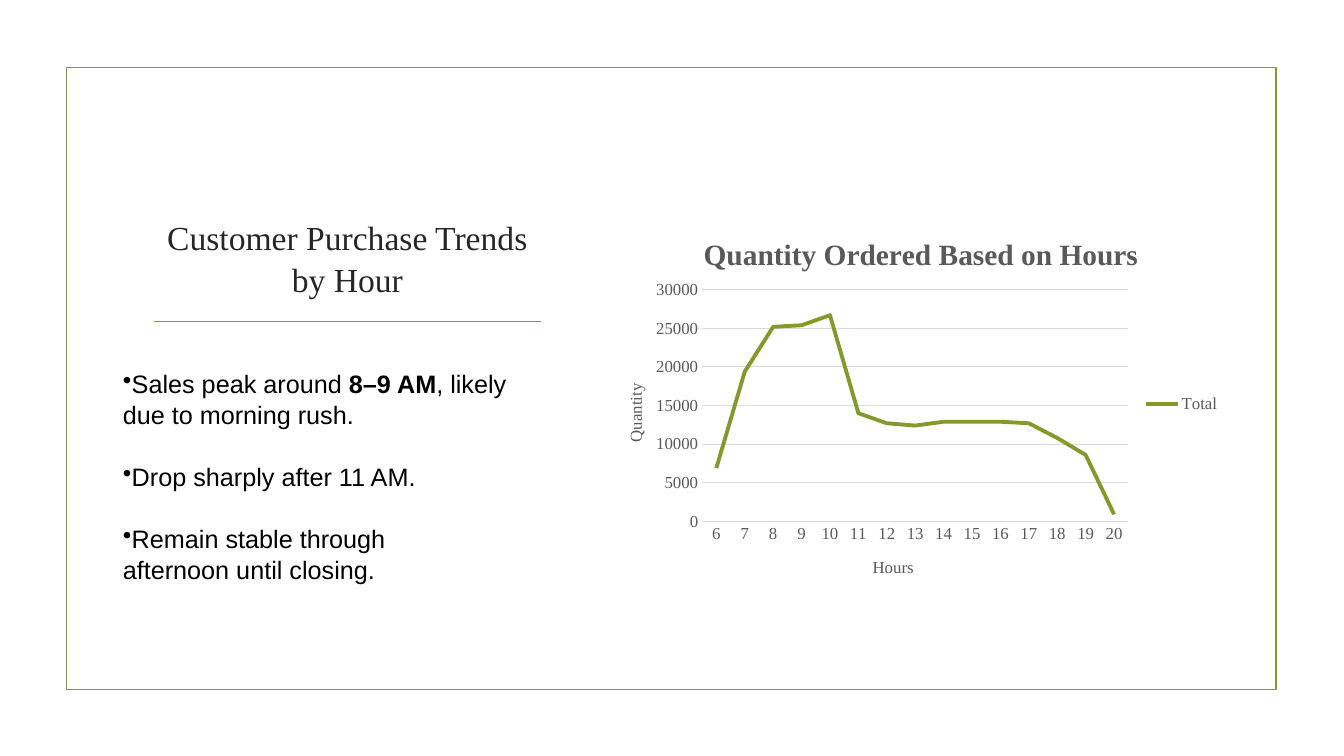
"""Build the slide on customer purchase trends by hour."""
from dataclasses import dataclass

from lxml import etree
from pptx import Presentation
from pptx.chart.data import CategoryChartData
from pptx.dml.color import RGBColor
from pptx.enum.chart import XL_CHART_TYPE, XL_LEGEND_POSITION, XL_TICK_MARK
from pptx.enum.shapes import MSO_CONNECTOR, MSO_SHAPE
from pptx.enum.text import MSO_ANCHOR, PP_ALIGN
from pptx.oxml.ns import qn
from pptx.util import Inches, Pt

LINE_CHART = XL_CHART_TYPE.LINE
LEGEND_RIGHT = XL_LEGEND_POSITION.RIGHT
NO_TICK = XL_TICK_MARK.NONE
STRAIGHT = MSO_CONNECTOR.STRAIGHT
RECTANGLE = MSO_SHAPE.RECTANGLE
MIDDLE, BOTTOM = MSO_ANCHOR.MIDDLE, MSO_ANCHOR.BOTTOM
CENTER = PP_ALIGN.CENTER

HEADLINE = "Customer Purchase Trends by Hour"
FINDINGS = [
    [("Sales peak around ", False), ("8–9 AM", True), (", likely due to morning rush.", False)],
    [("Drop sharply after 11 AM.", False)],
    [("Remain stable through\vafternoon until closing.", False)],
]
CHART_HEADING = "Quantity Ordered Based on Hours"
HOURS_LABEL, QUANTITY_LABEL, SERIES_LABEL = "Hours", "Quantity", "Total"
QUANTITY_BY_HOUR = {
    6: 6900, 7: 19400, 8: 25200, 9: 25400, 10: 26700,
    11: 14000, 12: 12700, 13: 12400, 14: 12900, 15: 12900,
    16: 12900, 17: 12700, 18: 10800, 19: 8600, 20: 900,
}


@dataclass(frozen=True)
class Theme:
    """Colours, fonts and type sizes."""
    accent: RGBColor = RGBColor.from_string("83992A")
    headline: RGBColor = RGBColor.from_string("262626")
    body: RGBColor = RGBColor.from_string("000000")
    chart_text: RGBColor = RGBColor.from_string("595959")
    grid: RGBColor = RGBColor.from_string("D9D9D9")
    serif: str = "Times New Roman"
    sans: str = "Arial"
    headline_size: int = 24
    body_size: int = 18
    chart_heading_size: int = 21
    label_size: int = 12
    leading: float = 1.04


THEME = Theme()


def style_font(font, name, size, color, bold=None):
    """Set face, size, colour and weight."""
    font.name, font.size, font.bold = name, Pt(size), bold
    font.color.rgb = color


def style_line(line, color, width):
    """Set the colour and width of a line."""
    line.color.rgb = color
    line.width = Pt(width)


def place(part, left, top, width, height):
    """Move and size a placeholder in inches."""
    part.left, part.top, part.width, part.height = map(Inches, (left, top, width, height))


def set_layout(element, index, target=None, **fractions):
    """Give a chart part a manual position as fractions of the chart."""
    layout = element.find(qn("c:layout"))
    if layout is None:
        layout = etree.Element(qn("c:layout"))
        element.insert(index, layout)
    manual = etree.SubElement(layout, qn("c:manualLayout"))
    settings = {"layoutTarget": target} if target else {}
    settings |= {"xMode": "edge", "yMode": "edge"} | fractions
    for tag, value in settings.items():
        etree.SubElement(manual, qn(f"c:{tag}")).set("val", str(value))


def add_label(title, text, size, x, y, bold=False):
    """Write a chart or axis title and position it."""
    title.text_frame.text = text
    style_font(title.text_frame.paragraphs[0].font, THEME.serif, size, THEME.chart_text, bold)
    set_layout(title.element, 1, x=x, y=y)


def add_frame(slide):
    """Draw the border and the rule under the headline."""
    border = slide.shapes.add_shape(RECTANGLE, *map(Inches, (0.66, 0.67, 12, 6.17)))
    border.shadow.inherit = False
    border.fill.background()
    style_line(border.line, THEME.accent, 1.25)
    rule = slide.shapes.add_connector(STRAIGHT, *map(Inches, (1.53, 3.19, 5.37, 3.19)))
    style_line(rule.line, THEME.accent, 1.25)
    etree.SubElement(rule.element.spPr, qn("a:effectLst"))


def add_headline(slide):
    """Fill the title placeholder."""
    headline = slide.shapes.title
    place(headline, 1.41, 1.52, 4.07, 1.5)
    frame = headline.text_frame
    frame.text = HEADLINE
    frame.word_wrap = True
    frame.vertical_anchor = BOTTOM
    paragraph = frame.paragraphs[0]
    paragraph.alignment = CENTER
    paragraph.line_spacing = THEME.leading
    style_font(paragraph.font, THEME.serif, THEME.headline_size, THEME.headline)


def add_findings(slide):
    """Write the bulleted findings."""
    box = slide.shapes.add_textbox(*map(Inches, (1.12, 3.61, 4.36, 2.22)))
    frame = box.text_frame
    frame.word_wrap = True
    frame.vertical_anchor = MIDDLE
    for index, finding in enumerate(FINDINGS):
        paragraph = frame.add_paragraph() if index else frame.paragraphs[0]
        properties = paragraph._p.get_or_add_pPr()
        etree.SubElement(properties, qn("a:buChar")).set("char", "•")
        paragraph.line_spacing = THEME.leading
        paragraph.space_before = Pt(21.6 if index else 0)
        style_font(paragraph.font, THEME.sans, THEME.body_size, THEME.body)
        for position, (text, bold) in enumerate(finding):
            for part, words in enumerate(text.split("\v")):
                if part:
                    paragraph.add_line_break()
                run = paragraph.add_run()
                run.text = words
                style_font(run.font, THEME.sans, THEME.body_size, THEME.body, bold)


def add_quantity_chart(slide):
    """Plot quantity ordered against hour."""
    data = CategoryChartData()
    data.categories = [str(hour) for hour in QUANTITY_BY_HOUR]
    data.add_series(SERIES_LABEL, QUANTITY_BY_HOUR.values())
    bounds = map(Inches, (5.92, 2.09, 6.29, 3.83))
    chart = slide.shapes.add_chart(LINE_CHART, *bounds, data).chart
    style_font(chart.font, THEME.serif, THEME.label_size, THEME.chart_text)
    chart.has_title = True
    add_label(chart.chart_title, CHART_HEADING, THEME.chart_heading_size, 0.16, 0.05, True)
    chart.has_legend = True
    chart.legend.position = LEGEND_RIGHT
    chart.legend.include_in_layout = False

    hours, quantity = chart.category_axis, chart.value_axis
    for axis in (hours, quantity):
        axis.major_tick_mark = axis.minor_tick_mark = NO_TICK
    add_label(hours.axis_title, HOURS_LABEL, THEME.label_size, 0.43, 0.89)
    add_label(quantity.axis_title, QUANTITY_LABEL, THEME.label_size, 0.04, 0.44)
    style_line(hours.format.line, THEME.grid, 1)
    quantity.format.line.fill.background()
    quantity.minimum_scale, quantity.maximum_scale, quantity.major_unit = 0, 30000, 5000
    style_line(quantity.major_gridlines.format.line, THEME.grid, 0.75)

    plot = chart.plots[0]
    plot.vary_by_categories = False
    total = plot.series[0]
    total.smooth = False
    style_line(total.format.line, THEME.accent, 2.75)
    plot_area = chart.element.find(f".//{qn('c:plotArea')}")
    set_layout(plot_area, 0, "inner", x=0.166, y=0.205, w=0.672, h=0.6)


def main():
    """Assemble and save the slide."""
    presentation = Presentation()
    presentation.slide_width, presentation.slide_height = Inches(13.33), Inches(7.5)
    slide = presentation.slides.add_slide(presentation.slide_layouts[5])
    add_frame(slide)
    add_headline(slide)
    add_findings(slide)
    add_quantity_chart(slide)
    presentation.save("out.pptx")


if __name__ == "__main__":
    main()
